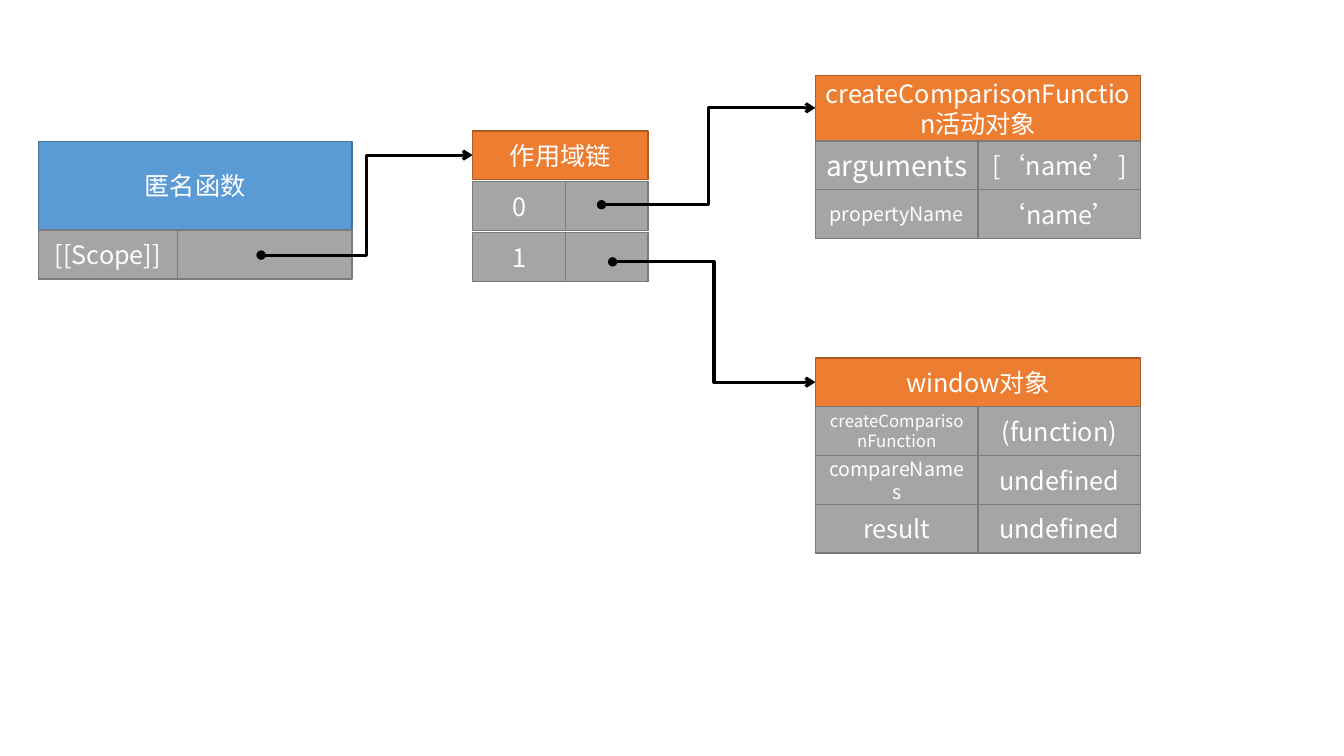
from lxml import etree
from pptx import Presentation
from pptx.dml.color import RGBColor
from pptx.enum.shapes import MSO_CONNECTOR, MSO_SHAPE
from pptx.enum.text import MSO_ANCHOR, PP_ALIGN
from pptx.oxml.ns import qn
from pptx.util import Cm, Pt

FONT = "Noto Sans CJK SC"
WHITE, BLACK = RGBColor(0xFF, 0xFF, 0xFF), RGBColor(0, 0, 0)
BLUE, BLUE_EDGE = RGBColor(0x5B, 0x9B, 0xD5), RGBColor(0x43, 0x73, 0x9E)
ORANGE, ORANGE_EDGE = RGBColor(0xED, 0x7D, 0x31), RGBColor(0xAF, 0x5C, 0x24)
GRAY, GRAY_EDGE = RGBColor(0xA5, 0xA5, 0xA5), RGBColor(0x7A, 0x7A, 0x7A)
ROW = 1.23  # row height in cm

prs = Presentation()
prs.slide_width, prs.slide_height = Cm(33.87), Cm(19.05)
slide = prs.slides.add_slide(prs.slide_layouts[6])


def add_box(left, top, width, height, fill, edge, text="", size=18):
    box = slide.shapes.add_shape(MSO_SHAPE.RECTANGLE, Cm(left), Cm(top), Cm(width), Cm(height))
    box.shadow.inherit = False
    box.fill.solid()
    box.fill.fore_color.rgb = fill
    box.line.color.rgb = edge
    box.line.width = Pt(1)
    if text:
        frame = box.text_frame
        frame.word_wrap = True
        frame.vertical_anchor = MSO_ANCHOR.MIDDLE
        frame.paragraphs[0].alignment = PP_ALIGN.CENTER
        run = frame.paragraphs[0].add_run()
        run.text = text
        run.font.size = Pt(size)
        run.font.name = FONT
        run.font.color.rgb = WHITE
        props = run.font._element
        props.set("lang", "zh-CN")
        etree.SubElement(props, qn("a:ea")).set("typeface", FONT)


def add_object(left, top, widths, header, header_height, colors, rows, gap=0):
    """Header box over rows of two cells; a cell is (text, size)."""
    add_box(left, top, sum(widths), header_height, *colors, header)
    for i, (key, value) in enumerate(rows):
        y = top + header_height + gap + i * (ROW + gap)
        add_box(left, y, widths[0], ROW, GRAY, GRAY_EDGE, *key)
        add_box(left + widths[0], y, widths[1], ROW, GRAY, GRAY_EDGE, *value)


# Anonymous function, scope chain and the two variable objects
orange = (ORANGE, ORANGE_EDGE)
add_object(0.97, 3.56, (3.5, 4.4), "匿名函数", 2.24, (BLUE, BLUE_EDGE),
           [(("[[Scope]]",), ())])
add_object(11.91, 3.3, (2.34, 2.08), "作用域链", ROW, orange,
           [(("0",), ()), (("1",), ())], gap=0.05)
add_object(20.55, 1.9, (4.1, 4.1), "createComparisonFunction活动对象", 1.65, orange,
           [(("arguments", 20), ("[‘name’]",)),
            (("propertyName", 14), ("‘name’",))])
add_object(20.55, 9.02, (4.1, 4.1), "window对象", ROW, orange,
           [(("createComparisonFunction", 12), ("(function)",)),
            (("compareNames", 14), ("undefined",)),
            (("result",), ("undefined",))])

# References: dot in the cell, arrow at the object
for x1, y1, x2, y2 in [(6.58, 6.43, 11.91, 3.91),
                       (15.16, 5.16, 20.55, 2.72),
                       (15.44, 6.6, 20.55, 9.63)]:
    link = slide.shapes.add_connector(MSO_CONNECTOR.ELBOW, Cm(x1), Cm(y1), Cm(x2), Cm(y2))
    link.line.color.rgb = BLACK
    link.line.width = Pt(2.25)
    line = link.line._get_or_add_ln()
    etree.SubElement(line, qn("a:headEnd")).set("type", "oval")
    etree.SubElement(line, qn("a:tailEnd")).set("type", "arrow")
    etree.SubElement(link._element.spPr, qn("a:effectLst"))

prs.save("out.pptx")
